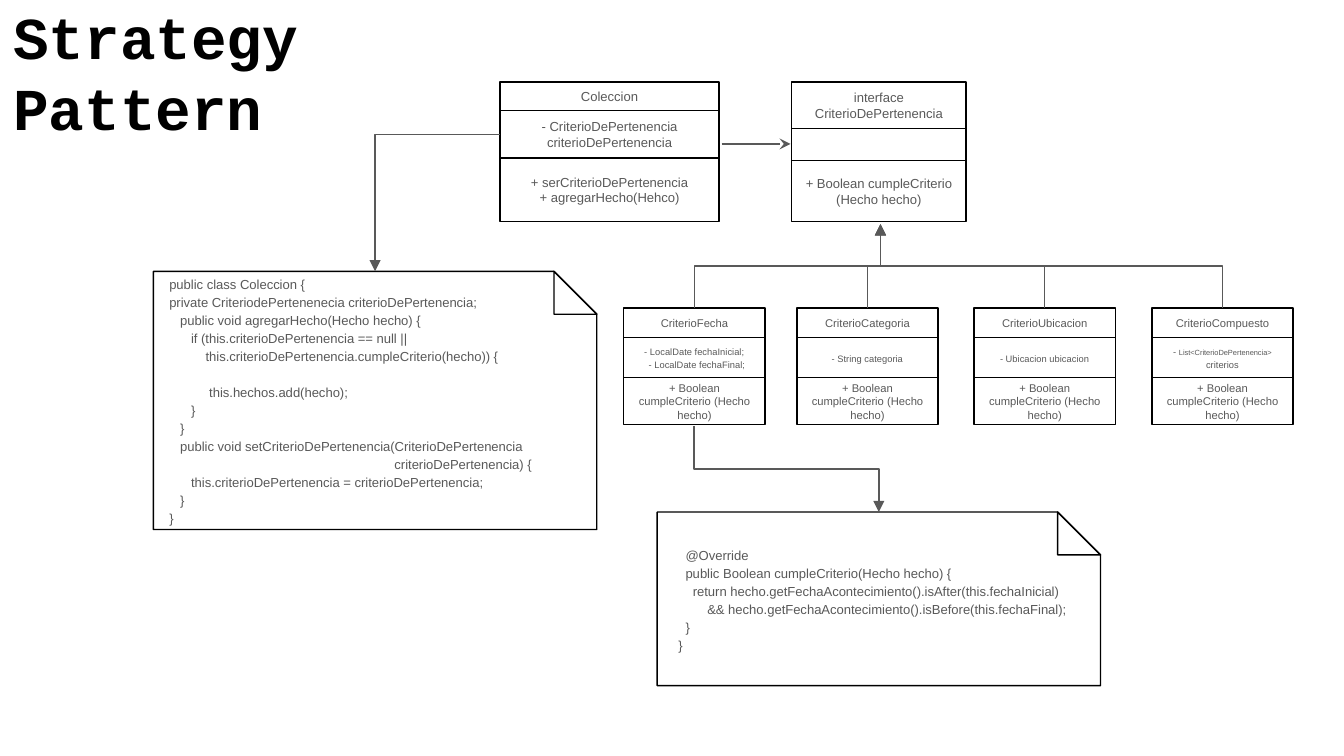
import dataclasses

import lxml.etree
import pptx
import pptx.dml.color
import pptx.enum.shapes
import pptx.enum.text
import pptx.oxml.ns
import pptx.util

Cm = pptx.util.Cm
Pt = pptx.util.Pt
qn = pptx.oxml.ns.qn
SHAPE = pptx.enum.shapes.MSO_SHAPE
CONNECTOR = pptx.enum.shapes.MSO_CONNECTOR
ANCHOR = pptx.enum.text.MSO_ANCHOR
ALIGN = pptx.enum.text.PP_ALIGN

COLORS = {"title": "000000", "outline": "000000", "text": "595959", "link": "595959"}
SPACE_WIDTH = 0.278
FOLD = 0.81


@dataclasses.dataclass
class Line:
    """One line of text, indented by a number of space widths."""
    text: str
    indent: int = 0
    before: float = 0
    small: str = ""


METHOD = [Line("+ Boolean cumpleCriterio (Hecho hecho)")]

CRITERIA = [
    (11.79, "CriterioFecha", [Line("- LocalDate fechaInicial;"),
                              Line("- LocalDate fechaFinal;", 2)]),
    (15.06, "CriterioCategoria", [Line("- String categoria")]),
    (18.41, "CriterioUbicacion", [Line("- Ubicacion ubicacion")]),
    (21.77, "CriterioCompuesto", [Line("- List<CriterioDePertenencia> criterios",
                                       small="List<CriterioDePertenencia>")]),
]

COLLECTION_CODE = [
    Line("public class Coleccion {"),
    Line("private CriteriodePertenenecia criterioDePertenencia;"),
    Line("public void agregarHecho(Hecho hecho) {", 3),
    Line("if (this.criterioDePertenencia == null ||", 6),
    Line("this.criterioDePertenencia.cumpleCriterio(hecho)) {", 10),
    Line("this.hechos.add(hecho);", 11, 9.6),
    Line("}", 6),
    Line("}", 3),
    Line("public void setCriterioDePertenencia(CriterioDePertenencia", 3),
    Line("criterioDePertenencia) {", 62),
    Line("this.criterioDePertenencia = criterioDePertenencia;", 6),
    Line("}", 3),
    Line("}"),
]

DATE_CODE = [
    Line("@Override", 2),
    Line("public Boolean cumpleCriterio(Hecho hecho) {", 2),
    Line("return hecho.getFechaAcontecimiento().isAfter(this.fechaInicial)", 4),
    Line("&& hecho.getFechaAcontecimiento().isBefore(this.fechaFinal);", 8),
    Line("}", 2),
    Line("}"),
]


def rgb(name):
    """Return the named colour."""
    return pptx.dml.color.RGBColor.from_string(COLORS[name])


def set_frame(tf, anchor):
    """Give a text frame its insets, wrapping and anchor."""
    tf.word_wrap = True
    tf.auto_size = pptx.enum.text.MSO_AUTO_SIZE.NONE
    tf.vertical_anchor = anchor
    tf.margin_left = tf.margin_right = tf.margin_top = tf.margin_bottom = Cm(0.25)


def add_lines(s, box, lines, size, align=ALIGN.CENTER, spacing=1.0):
    """Write lines as paragraphs in a text box."""
    tf = s.shapes.add_textbox(*map(Cm, box)).text_frame
    set_frame(tf, ANCHOR.MIDDLE)
    for i, line in enumerate(lines):
        p = tf.add_paragraph() if i else tf.paragraphs[0]
        p.alignment = align
        p.line_spacing = spacing
        p.space_before = Pt(line.before)
        margin = Pt(line.indent * SPACE_WIDTH * size)
        p._p.get_or_add_pPr().set("marL", str(margin))
        parts = line.text.partition(line.small) if line.small else [line.text]
        for part in parts:
            r = p.add_run()
            r.text = part
            r.font.name = "Arial"
            r.font.size = Pt(size - 1 if part == line.small else size)
            r.font.color.rgb = rgb("text")


def add_outline(s, kind, box):
    """Draw an unfilled outlined shape."""
    sp = s.shapes.add_shape(kind, *map(Cm, box))
    sp.shadow.inherit = False
    sp.fill.background()
    sp.line.color.rgb = rgb("outline")
    sp.line.width = Pt(0.75)
    return sp


def add_class(s, box, name, attrs, methods, heights, sizes, spacing=1.0):
    """Draw a class with name, attribute and method compartments."""
    x, y, w, h = box
    head, middle = heights
    add_outline(s, SHAPE.RECTANGLE, box)
    add_outline(s, SHAPE.RECTANGLE, (x, y + head, w, middle))
    add_lines(s, (x, y, w, head), [Line(name)], sizes[0])
    if attrs:
        add_lines(s, (x, y + head, w, middle), attrs, sizes[1], spacing=spacing)
    add_lines(s, (x, y + head + middle, w, h - head - middle), methods, sizes[0])


def add_note(s, box, lines, inset):
    """Draw a note with a folded corner, its code inset by left, top and bottom."""
    x, y, w, h = box
    left, top, bottom = inset
    sp = add_outline(s, SHAPE.SNIP_1_RECTANGLE, box)
    sp.adjustments[0] = FOLD / h
    add_outline(s, SHAPE.RIGHT_TRIANGLE, (x + w - FOLD, y, FOLD, FOLD))
    add_lines(s, (x + left, y + top, 8.1, h - top - bottom), lines, 7, ALIGN.LEFT, 1.15)


def add_link(s, kind, start, end, head="triangle"):
    """Draw a connector with an arrowhead at its end."""
    cn = s.shapes.add_connector(kind, *map(Cm, start + end))
    cn.line.color.rgb = rgb("link")
    cn.line.width = Pt(0.75)
    lxml.etree.SubElement(cn.line._get_or_add_ln(), qn("a:tailEnd"), type=head)
    lxml.etree.SubElement(cn._element.spPr, qn("a:effectLst"))
    return cn


def add_vertical_elbow(s, start, end):
    """Draw an elbow that leaves and arrives vertically."""
    (x1, y1), (x2, y2) = start, end
    w, h = abs(y2 - y1), abs(x2 - x1)
    x, y = (x1 + x2 - w) / 2, (y1 + y2 - h) / 2
    cn = add_link(s, CONNECTOR.ELBOW, (x, y), (x + w, y + h))
    left, up = x2 < x1, y2 < y1
    xfrm = cn._element.spPr.find(qn("a:xfrm"))
    xfrm.set("rot", str((90 if left else 270) * 60000))
    xfrm.set("flipH", str(int(left == up)))


def add_corner(s, start, end):
    """Draw a link that leaves horizontally and arrives vertically."""
    cn = add_link(s, CONNECTOR.ELBOW, start, end)
    cn._element.spPr.find(qn("a:prstGeom")).set("prst", "bentConnector2")


def add_title(s, box):
    """Place and format the slide title."""
    sp = s.shapes.title
    sp.left, sp.top, sp.width, sp.height = map(Cm, box)
    tf = sp.text_frame
    tf.text = "Strategy Pattern"
    set_frame(tf, ANCHOR.BOTTOM)
    p = tf.paragraphs[0]
    p.alignment = ALIGN.LEFT
    font = p.runs[0].font
    font.name, font.size, font.bold = "Courier New", Pt(31.8), True
    font.color.rgb = rgb("title")


def add_criteria(s, box, target):
    """Draw the row of criterion classes and join each to the interface."""
    top, w, h = box
    for x, name, attrs in CRITERIA:
        add_class(s, (x, top, w, h), name, attrs, METHOD, (0.56, 0.76), (6, 5), 1.15)
        add_vertical_elbow(s, (x + w / 2, top), target)


def main():
    """Build the slide and save it."""
    prs = pptx.Presentation()
    prs.slide_width, prs.slide_height = Cm(25.4), Cm(14.29)
    s = prs.slides.add_slide(prs.slide_layouts[5])
    add_title(s, (0, 0, 5.97, 2.95))
    add_class(s, (9.45, 1.55, 4.14, 2.64), "Coleccion",
              [Line("- CriterioDePertenencia criterioDePertenencia")],
              [Line("+ serCriterioDePertenencia"), Line("+ agregarHecho(Hehco)")],
              (0.54, 0.9), (7, 7))
    add_class(s, (14.96, 1.55, 3.3, 2.64), "interface CriterioDePertenencia",
              [], METHOD, (0.88, 0.61), (7, 7))
    add_criteria(s, (5.82, 2.67, 2.21), (16.64, 4.24))
    add_note(s, (2.9, 5.13, 8.38, 4.88), COLLECTION_CODE, (0.05, 0, 0))
    add_note(s, (12.42, 9.68, 8.38, 3.28), DATE_CODE, (0.15, 0.33, 0.31))
    add_corner(s, (9.45, 2.54), (7.09, 5.13))
    add_link(s, CONNECTOR.STRAIGHT, (13.64, 2.72), (14.94, 2.72), "stealth")
    add_vertical_elbow(s, (13.12, 8.05), (16.61, 9.68))
    prs.save("out.pptx")


if __name__ == "__main__":
    main()
